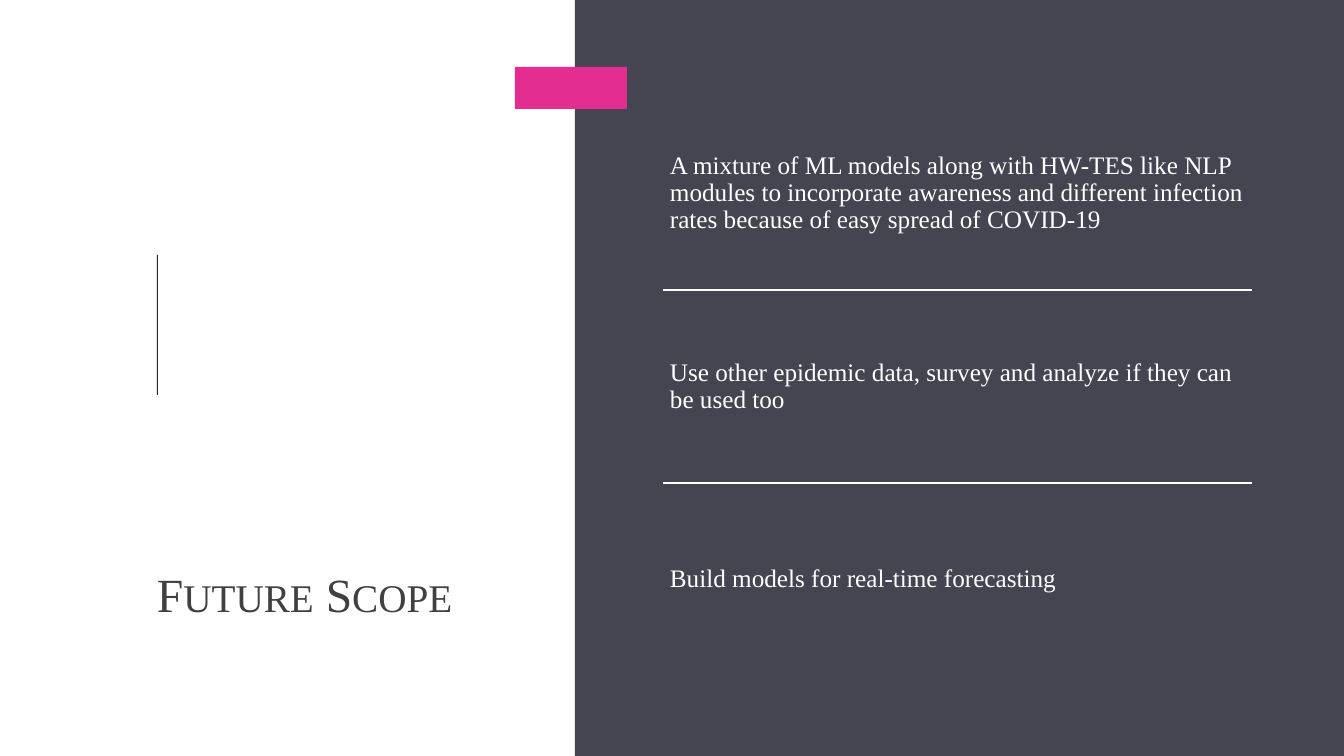
from lxml import etree
from pptx import Presentation
from pptx.dml.color import RGBColor
from pptx.enum.shapes import MSO_CONNECTOR, MSO_SHAPE
from pptx.enum.text import MSO_ANCHOR, PP_ALIGN
from pptx.oxml.ns import qn
from pptx.util import Pt

EMU_PER_PX = 914400 / 100.8
SLIDE_W, SLIDE_H = 1344, 756
FONT = "Times New Roman"

WHITE = RGBColor(0xFF, 0xFF, 0xFF)
SLATE = RGBColor(0x45, 0x45, 0x51)
CHARCOAL = RGBColor(0x24, 0x28, 0x2B)
PINK = RGBColor(0xE3, 0x2D, 0x91)
TITLE_GREY = RGBColor(0x40, 0x40, 0x40)

TITLE_RUNS = [("F", 34), ("UTURE", 28), (" S", 34), ("COPE", 28)]
PLANS = [
    "A mixture of ML models along with HW-TES like NLP modules to incorporate "
    "awareness and different infection rates because of easy spread of COVID-19",
    "Use other epidemic data, survey and analyze if they can be used too",
    "Build models for real-time forecasting",
]


def px(*lengths):
    """Turn pixel lengths into a list of EMU."""
    return [round(length * EMU_PER_PX) for length in lengths]


def add_block(slide, left, top, width, height, color):
    block = slide.shapes.add_shape(MSO_SHAPE.RECTANGLE, *px(left, top, width, height))
    block.shadow.inherit = False
    block.fill.solid()
    block.fill.fore_color.rgb = color
    block.line.fill.background()


def add_words(slide, left, top, width, height, runs, color, anchor, inset=0, spacing=1.0):
    """Place one left-aligned paragraph made of (text, point size) runs."""
    frame = slide.shapes.add_textbox(*px(left, top, width, height)).text_frame
    frame.word_wrap = True
    frame.vertical_anchor = anchor
    frame.margin_left, frame.margin_top, frame.margin_right, frame.margin_bottom = px(*[inset] * 4)
    paragraph = frame.paragraphs[0]
    paragraph.alignment = PP_ALIGN.LEFT
    paragraph.line_spacing = spacing
    for text, size in runs:
        run = paragraph.add_run()
        run.text = text
        run.font.name = FONT
        run.font.size = Pt(size)
        run.font.color.rgb = color


def add_divider(slide, left, top, width):
    divider = slide.shapes.add_connector(
        MSO_CONNECTOR.STRAIGHT, *px(left, top, left + width, top))
    divider.line.color.rgb = WHITE
    divider.line.width = Pt(1.75)
    etree.SubElement(divider._element.spPr, qn("a:effectLst"))


def add_backdrop(slide, left, top, width, height):
    """Draw the dark panel and the pink tab that overlaps its left edge."""
    add_block(slide, left, top, width, height, SLATE)
    add_block(slide, left - 60, top + 67, 112, 42, PINK)


def add_title_side(slide, left, top, width, height):
    """Draw the thin upright rule with the title at the foot of the box."""
    add_block(slide, left, top, 1, 140, CHARCOAL)
    title_height = 177
    add_words(slide, left, top + height - title_height, width, title_height,
              TITLE_RUNS, TITLE_GREY, MSO_ANCHOR.BOTTOM)


def add_plan_list(slide, left, top, width, height):
    """Stack the plans in equal rows with a divider between each pair."""
    row_height = height // len(PLANS)
    for row, plan in enumerate(PLANS):
        row_top = top + row * row_height
        if row:
            add_divider(slide, left, row_top, width)
        add_words(slide, left, row_top, width, row_height, [(plan, 18)],
                  WHITE, MSO_ANCHOR.MIDDLE, inset=7, spacing=0.9)


def main():
    presentation = Presentation()
    presentation.slide_width, presentation.slide_height = px(SLIDE_W, SLIDE_H)
    slide = presentation.slides.add_slide(presentation.slide_layouts[6])
    add_backdrop(slide, 575, 0, SLIDE_W - 575, SLIDE_H)
    add_title_side(slide, 157, 255, 403, 367)
    add_plan_list(slide, 663, 97, 589, 579)
    presentation.save("out.pptx")


if __name__ == "__main__":
    main()
